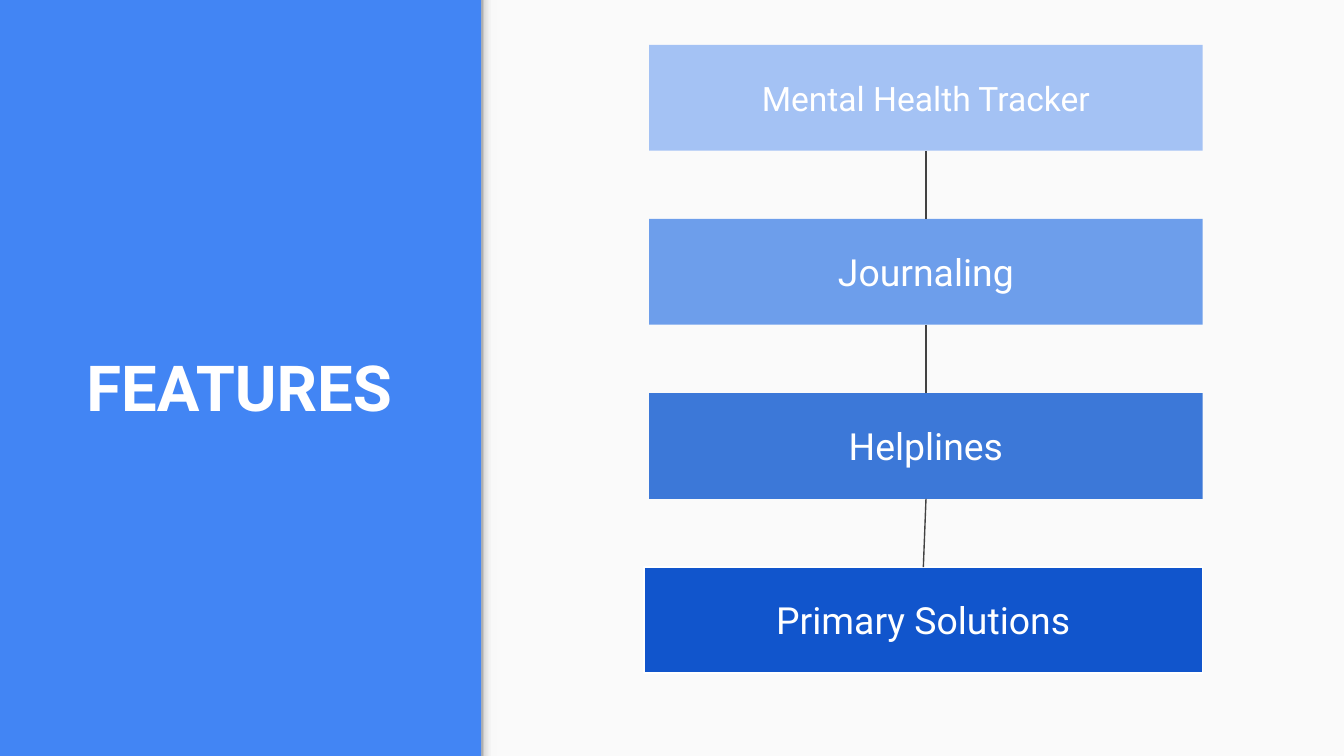
from copy import deepcopy

from lxml import etree
from pptx import Presentation
from pptx.dml.color import RGBColor
from pptx.enum import shapes, text
from pptx.oxml.ns import qn
from pptx.util import Cm, Pt


def colour(hex_value):
    return RGBColor.from_string(hex_value)


def write(shape, words, size, anchor, bold=False):
    """Set centred white text with even margins."""
    frame = shape.text_frame
    frame.text = words
    frame.word_wrap = True
    frame.auto_size = text.MSO_AUTO_SIZE.NONE
    frame.vertical_anchor = anchor
    frame.margin_left = frame.margin_right = Cm(0.25)
    frame.margin_top = frame.margin_bottom = Cm(0.25)
    line = frame.paragraphs[0]
    line.alignment = text.PP_ALIGN.CENTER
    font = line.runs[0].font
    font.name, font.size, font.bold = "Roboto", Pt(size), bold
    font.color.rgb = colour("FFFFFF")


prs = Presentation()
prs.slide_width, prs.slide_height = Cm(25.4), Cm(14.29)
slide = prs.slides.add_slide(prs.slide_layouts[5])
slide.background.fill.solid()
slide.background.fill.fore_color.rgb = colour("4285F4")

# Light right-hand side with a soft shadow along its left edge
RECTANGLE = shapes.MSO_SHAPE.RECTANGLE
panel_left = Cm(9.1)
panel = slide.shapes.add_shape(
    RECTANGLE, panel_left, 0, prs.slide_width - panel_left, prs.slide_height)
panel.fill.solid()
panel.fill.fore_color.rgb = colour("FAFAFA")

edge = slide.shapes.add_shape(RECTANGLE, panel_left, 0, Cm(0.3), prs.slide_height)
edge.fill.gradient()
edge.fill.gradient_angle = 0
stops = edge._element.spPr.find(qn("a:gradFill")).find(qn("a:gsLst"))
stops.insert(1, deepcopy(stops[0]))
shades = [(0, "999999"), (0.2, "DEDEDE"), (0.64, "F9F9F9")]
for stop, (position, shade) in zip(edge.fill.gradient_stops, shades):
    stop.position = position
    stop.color.rgb = colour(shade)

for background_part in (panel, edge):
    background_part.shadow.inherit = False
    background_part.line.fill.background()

heading = slide.shapes.title
heading.left, heading.top, heading.width, heading.height = Cm(0), Cm(6.05), Cm(9.04), Cm(2.21)
write(heading, "FEATURES", 34, text.MSO_ANCHOR.BOTTOM, bold=True)

# Chain of features, from light to dark
features = [
    ("Mental Health Tracker", "A4C2F4", 18, 12.27),
    ("Journaling", "6D9EEB", 20, 12.27),
    ("Helplines", "3C78D8", 20, 12.27),
    ("Primary Solutions", "1155CC", 20, 12.17),
]
right_edge = 22.73
previous = None
for row, (name, shade, size, left) in enumerate(features):
    feature = slide.shapes.add_shape(
        RECTANGLE, Cm(left), Cm(0.85 + 3.29 * row), Cm(right_edge - left), Cm(2))
    feature.shadow.inherit = False
    feature.fill.solid()
    feature.fill.fore_color.rgb = colour(shade)
    feature.line.fill.background()
    write(feature, name, size, text.MSO_ANCHOR.MIDDLE)
    if previous is not None:
        link = slide.shapes.add_connector(shapes.MSO_CONNECTOR.STRAIGHT, 0, 0, 0, 0)
        link.begin_connect(previous, 2)
        link.end_connect(feature, 0)
        link.line.color.rgb = colour("424242")
        link.line.width = Pt(0.75)
        etree.SubElement(link._element.spPr, qn("a:effectLst"))
    previous = feature

# The last feature is outlined in white
previous.line.color.rgb = colour("FFFFFF")
previous.line.width = Pt(0.75)

prs.save("out.pptx")
